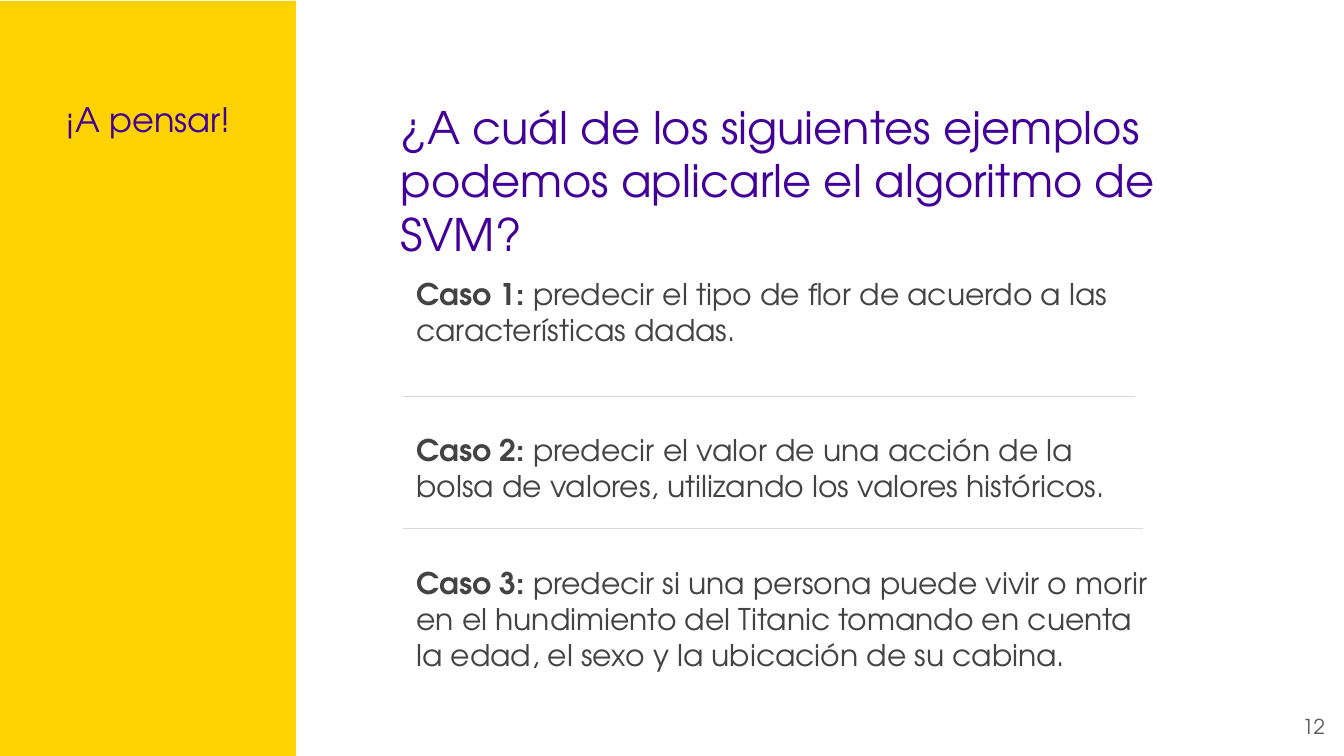
"""Build the SVM discussion slide with three cases to think about."""
import pptx
import pptx.util
import pptx.dml.color
import pptx.enum.shapes
import pptx.enum.text
import lxml.etree

Pt = pptx.util.Pt
ALIGN = pptx.enum.text.PP_ALIGN
ANCHOR = pptx.enum.text.MSO_ANCHOR
FONT = "TeX Gyre Adventor"
PURPLE, YELLOW, DARK, GREY, RULE = "430098", "FCD300", "434343", "595959", "D9D9D9"
CASE_LEFT = 216


def color(value):
    return pptx.dml.color.RGBColor.from_string(value)


def add_text(text, left, top, width, height, size, ink, lead="",
             align=ALIGN.LEFT, anchor=ANCHOR.TOP):
    box = page.shapes.add_textbox(Pt(left), Pt(top), Pt(width), Pt(height))
    frame = box.text_frame
    frame.word_wrap = True
    frame.vertical_anchor = anchor
    frame.margin_left = frame.margin_right = Pt(7.2)
    frame.margin_top = frame.margin_bottom = Pt(7.2)
    para = frame.paragraphs[0]
    para.alignment = align
    for words, bold in ((lead, True), (text, False)):
        if words:
            span = para.add_run()
            span.text = words
            span.font.name = FONT
            span.font.size = Pt(size)
            span.font.bold = bold
            span.font.color.rgb = color(ink)


deck = pptx.Presentation()
deck.slide_width, deck.slide_height = Pt(720), Pt(405)
page = deck.slides.add_slide(deck.slide_layouts[6])

panel = page.shapes.add_shape(pptx.enum.shapes.MSO_SHAPE.RECTANGLE,
                              Pt(0), Pt(0.5), Pt(158.5), Pt(404.5))
panel.shadow.inherit = False
panel.fill.solid()
panel.fill.fore_color.rgb = color(YELLOW)
panel.line.fill.background()

add_text("12", 674, 373.5, 43, 31, 11, GREY, align=ALIGN.RIGHT, anchor=ANCHOR.MIDDLE)
add_text("¡A pensar!", 23, 46, 113, 119.5, 18, PURPLE, align=ALIGN.CENTER)
add_text("¿A cuál de los siguientes ejemplos podemos aplicarle el algoritmo de SVM?",
         207.5, 46, 477.5, 61, 24, PURPLE)

cases = [
    (140.5, 396, "predecir el tipo de flor de acuerdo a las características dadas."),
    (224, 399.5, "predecir el valor de una acción de la bolsa de valores, "
                 "utilizando los valores históricos."),
    (295.5, 409.5, "predecir si una persona puede vivir o morir en el hundimiento del "
                   "Titanic tomando en cuenta la edad, el sexo y la ubicación de su cabina."),
]
for number, (top, width, text) in enumerate(cases, 1):
    add_text(text, CASE_LEFT, top, width, 40, 16, DARK, lead=f"Caso {number}: ")

for height, right in ((212.5, 608), (283, 612.5)):
    divider = page.shapes.add_connector(pptx.enum.shapes.MSO_CONNECTOR.STRAIGHT,
                                        Pt(CASE_LEFT), Pt(height), Pt(right), Pt(height))
    divider.line.color.rgb = color(RULE)
    divider.line.width = Pt(0.75)
    lxml.etree.SubElement(divider.line._get_or_add_ln().getparent(),
                          pptx.oxml.ns.qn("a:effectLst"))

deck.save("out.pptx")
